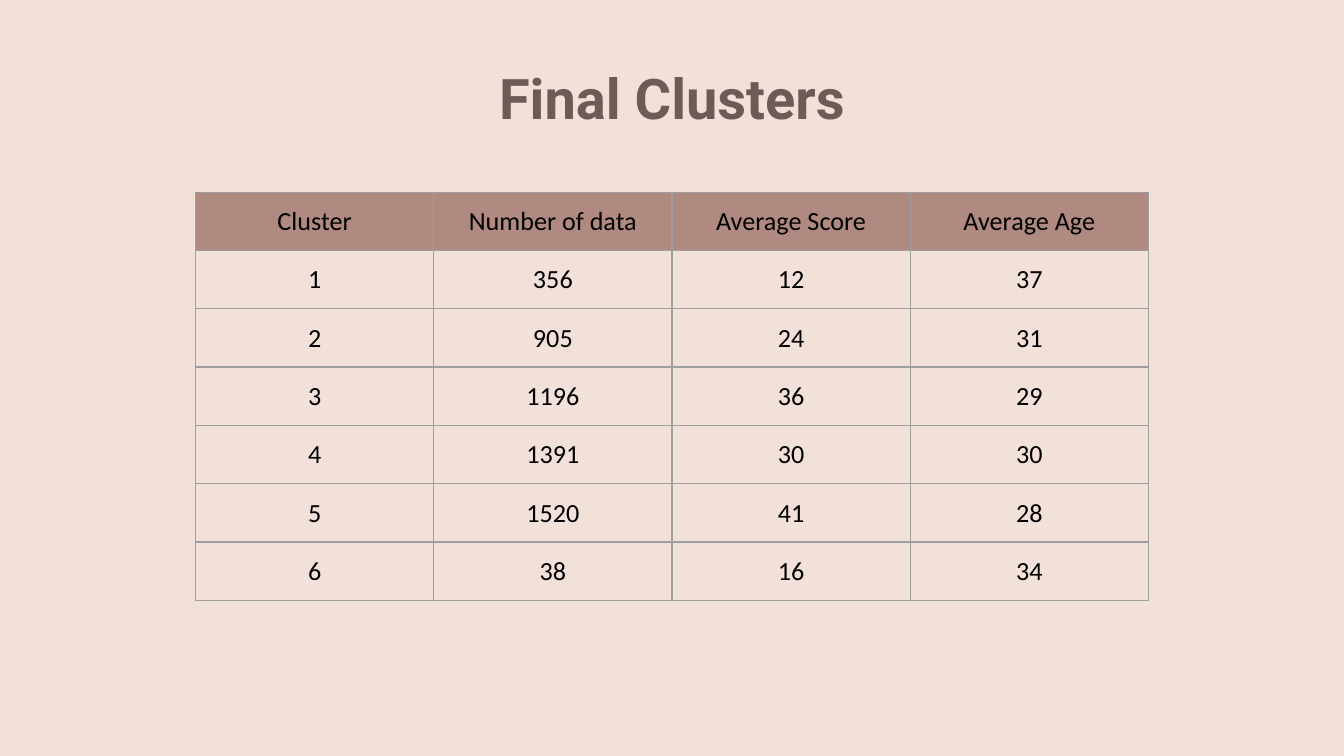
"""Build the Final Clusters slide: a title above a table of six clusters."""
from lxml import etree
from pptx import Presentation
from pptx import util as u
from pptx.dml.color import RGBColor
from pptx.enum import text
from pptx.oxml import ns


def color(value):
    return RGBColor.from_string(value)


def write(frame, content, font, size, fill, bold=False):
    paragraph = frame.paragraphs[0]
    paragraph.alignment = text.PP_ALIGN.CENTER
    run = paragraph.add_run()
    run.text = content
    run.font.name = font
    run.font.size = u.Pt(size)
    run.font.bold = bold
    run.font.color.rgb = color(fill)


ROWS = [
    ("Cluster", "Number of data", "Average Score", "Average Age"),
    (1, 356, 12, 37),
    (2, 905, 24, 31),
    (3, 1196, 36, 29),
    (4, 1391, 30, 30),
    (5, 1520, 41, 28),
    (6, 38, 16, 34),
]
INSET = u.Inches(0.1)

presentation = Presentation()
presentation.slide_width = width = u.Inches(10)
presentation.slide_height = width * 9 // 16
slide = presentation.slides.add_slide(presentation.slide_layouts[6])
slide.background.fill.solid()
slide.background.fill.fore_color.rgb = color("F2E1D8")

title_width = u.Inches(8.43)
title = slide.shapes.add_textbox((width - title_width) // 2, u.Inches(0.37), title_width, u.Inches(0.63))
frame = title.text_frame
frame.word_wrap = True
frame.vertical_anchor = text.MSO_ANCHOR.TOP
frame.margin_left = frame.margin_right = frame.margin_top = frame.margin_bottom = INSET
write(frame, "Final Clusters", "Roboto", 30, "6D5B57", bold=True)

table_width = u.Inches(7.09)
shape = slide.shapes.add_table(len(ROWS), len(ROWS[0]), (width - table_width) // 2, u.Inches(1.43),
                               table_width, u.Inches(0.43) * len(ROWS))
table = shape.table
table.horz_banding = False
for row, values in enumerate(ROWS):
    for column, value in enumerate(values):
        cell = table.cell(row, column)
        cell.margin_left = cell.margin_right = cell.margin_top = cell.margin_bottom = INSET
        write(cell.text_frame, str(value), "Calibri", 14, "000000")
        properties = cell._tc.get_or_add_tcPr()
        for side in ("a:lnL", "a:lnR", "a:lnT", "a:lnB"):
            line = etree.SubElement(properties, ns.qn(side), w=str(u.Pt(0.75)))
            solid = etree.SubElement(line, ns.qn("a:solidFill"))
            etree.SubElement(solid, ns.qn("a:srgbClr"), val="9E9E9E")
        if row == 0:
            cell.fill.solid()
            cell.fill.fore_color.rgb = color("B08980")
        else:
            cell.fill.background()

presentation.save("out.pptx")
